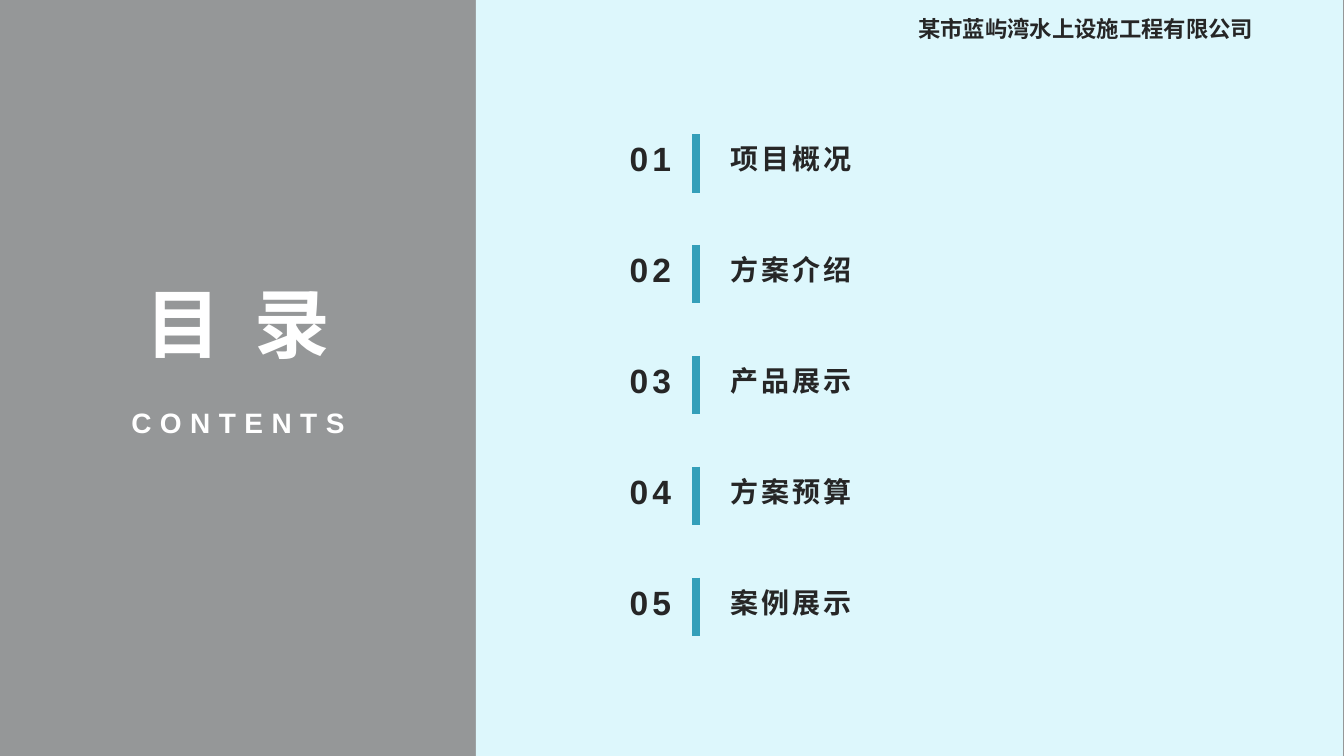
from pptx import Presentation
from pptx.dml.color import RGBColor
from pptx.enum.shapes import MSO_CONNECTOR, MSO_SHAPE
from pptx.enum.text import MSO_ANCHOR, MSO_AUTO_SIZE, PP_ALIGN
from pptx.oxml.ns import qn
from pptx.util import Inches, Pt
from lxml.etree import SubElement

BACKGROUND = RGBColor(0xF9, 0xFD, 0xFE)
BLACK = RGBColor(0x00, 0x00, 0x00)
WHITE = RGBColor(0xFF, 0xFF, 0xFF)
PALE = RGBColor(0xDD, 0xF7, 0xFC)
DARK = RGBColor(0x26, 0x26, 0x26)
TEAL = RGBColor(0x34, 0x9F, 0xB9)

TOPICS = ["项目概况", "方案介绍", "产品展示", "方案预算", "案例展示"]
FIRST_TOP = 1.33
STEP = 1.1


def write_text(sp, text, size, color=DARK, font="Arial", spacing=0,
               align=PP_ALIGN.LEFT, line=1.0, anchor=MSO_ANCHOR.TOP, bottom=0.05):
    tf = sp.text_frame
    tf.word_wrap = True
    tf.auto_size = MSO_AUTO_SIZE.NONE
    tf.vertical_anchor = anchor
    tf.margin_left = tf.margin_right = Inches(0.1)
    tf.margin_top = Inches(0.05)
    tf.margin_bottom = Inches(bottom)
    p = tf.paragraphs[0]
    p.alignment = align
    p.line_spacing = line
    p.space_before = Pt(0)
    r = p.add_run()
    r.text = text
    r.font.size = Pt(size)
    r.font.bold = True
    r.font.color.rgb = color
    r.font.name = font
    rPr = r.font._element
    rPr.set("spc", str(spacing * 100))
    SubElement(rPr, qn("a:ea")).set("typeface", "Noto Sans CJK SC")


class Deck:
    def __init__(self):
        self.prs = Presentation()
        self.prs.slide_width = Inches(13.33)
        self.prs.slide_height = Inches(7.5)
        self.s = self.prs.slides.add_slide(self.prs.slide_layouts[5])
        fill = self.s.background.fill
        fill.solid()
        fill.fore_color.rgb = BACKGROUND

    def panel(self, left, width, color, opacity=100):
        sp = self.s.shapes.add_shape(MSO_SHAPE.RECTANGLE, Inches(left), 0,
                                     Inches(width), Inches(7.5))
        sp.shadow.inherit = False
        sp.fill.solid()
        sp.fill.fore_color.rgb = color
        sp.line.fill.background()
        if opacity < 100:
            clr = sp.element.spPr.find(qn("a:solidFill"))[0]
            SubElement(clr, qn("a:alpha")).set("val", str(opacity * 1000))

    def title(self, left, top, width, height, text, **style):
        sp = self.s.shapes.title
        sp.left, sp.top = Inches(left), Inches(top)
        sp.width, sp.height = Inches(width), Inches(height)
        sp.element.getparent().append(sp.element)
        write_text(sp, text, **style)

    def text(self, left, top, width, height, text, **style):
        sp = self.s.shapes.add_textbox(Inches(left), Inches(top),
                                       Inches(width), Inches(height))
        write_text(sp, text, **style)

    def bar(self, x, top, length):
        ln = self.s.shapes.add_connector(MSO_CONNECTOR.STRAIGHT, Inches(x), Inches(top),
                                         Inches(x), Inches(top + length))
        ln.line.color.rgb = TEAL
        ln.line.width = Pt(5.5)
        SubElement(ln.element.spPr, qn("a:effectLst"))


def main():
    deck = Deck()
    deck.panel(0, 13.33, BLACK, opacity=40)
    deck.panel(4.72, 8.6, PALE)
    deck.text(9.01, 0.1, 3.59, 0.37, "某市蓝屿湾水上设施工程有限公司", size=16,
              font="Noto Sans CJK SC")
    heading = dict(color=WHITE, spacing=6, align=PP_ALIGN.CENTER, line=1.2)
    deck.title(0.97, 2.52, 2.78, 1.26, "目 录", size=54, **heading)
    deck.text(0.97, 3.91, 2.78, 0.52, "CONTENTS", size=20, **heading)
    for i, topic in enumerate(TOPICS):
        top = FIRST_TOP + i * STEP
        deck.text(6.04, top - 0.01, 0.82, 0.6, f"{i + 1:02d}", size=24, spacing=3,
                  align=PP_ALIGN.CENTER)
        deck.bar(6.9, top, 0.58)
        deck.text(7.15, top, 5.12, 0.41, topic, size=20, spacing=2, line=1.2,
                  anchor=MSO_ANCHOR.BOTTOM, bottom=0)
    deck.prs.save("out.pptx")


if __name__ == "__main__":
    main()
